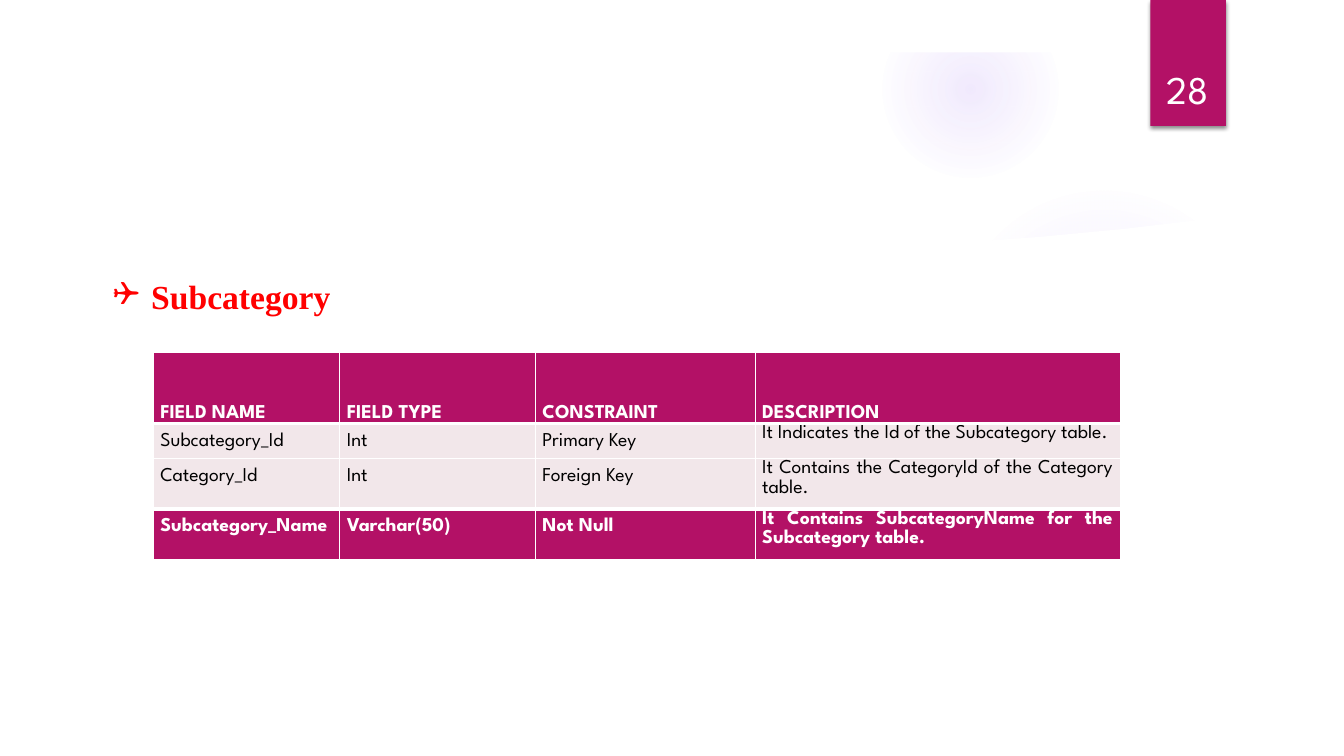
from lxml import etree
from pptx import Presentation
from pptx.dml.color import RGBColor
from pptx.enum.shapes import MSO_SHAPE
from pptx.enum.text import MSO_ANCHOR, MSO_AUTO_SIZE, PP_ALIGN
from pptx.oxml import parse_xml
from pptx.oxml.ns import qn
from pptx.util import Inches, Pt

RECT, OVAL = MSO_SHAPE.RECTANGLE, MSO_SHAPE.OVAL
BOTTOM, TOP = MSO_ANCHOR.BOTTOM, MSO_ANCHOR.TOP
LEFT, CENTER, JUSTIFY = PP_ALIGN.LEFT, PP_ALIGN.CENTER, PP_ALIGN.JUSTIFY
MAGENTA = RGBColor(0xB3, 0x11, 0x66)
BLUSH = RGBColor(0xF2, 0xE7, 0xEA)
RED = RGBColor(0xFF, 0, 0)
WHITE = RGBColor(0xFF, 0xFF, 0xFF)
BLACK = RGBColor(0, 0, 0)
VIOLET = RGBColor(0x9B, 0x6B, 0xF2)
FONT, TITLE_FONT = "League Spartan", "Times New Roman"
NS = 'xmlns:a="http://schemas.openxmlformats.org/drawingml/2006/main"'

TITLE, PAGE = "Subcategory", "28"
ROWS = [
    ("FIELD NAME", "FIELD TYPE", "CONSTRAINT", "DESCRIPTION"),
    ("Subcategory_Id", "Int", "Primary Key",
     "It Indicates the Id of the Subcategory table."),
    ("Category_Id", "Int", "Foreign Key",
     "It Contains the CategoryId of the Category table."),
    ("Subcategory_Name", "Varchar(50)", "Not Null",
     "It Contains SubcategoryName for the Subcategory table."),
]
COL_WIDTHS = [1.85, 1.94, 2.18, 3.62]
ROW_HEIGHTS = [0.7, 0.35, 0.5, 0.5]
# left, top, diameter, (position, opacity) stops in percent
GLOWS = [
    (9.41, 1.83, 3.08, [(0, 7), (36, 6), (69, 0)]),
    (8.75, 0.01, 1.75, [(0, 14), (36, 7), (73, 0)]),
]
# upper edge of the white panel, then its lower corners
PANEL = [(0.5, 2.04), (2.16, 2.24), (4.01, 2.38), (6.57, 2.48), (8.4, 2.46),
         (9.49, 2.41), (10.32, 2.35), (11.16, 2.27), (12, 2.17),
         (12.84, 2.04), (12.84, 7), (0.5, 7)]

prs = Presentation()
prs.slide_width, prs.slide_height = Inches(13.33), Inches(7.5)
s = prs.slides.add_slide(prs.slide_layouts[5])


def paint(shape, color):
    shape.shadow.inherit = False
    shape.fill.solid()
    shape.fill.fore_color.rgb = color
    shape.line.fill.background()


def add_box(kind, x, y, w, h, color):
    shape = s.shapes.add_shape(kind, Inches(x), Inches(y), Inches(w), Inches(h))
    paint(shape, color)
    return shape


def style(p, size, color, bold=False, font=FONT):
    for r in p.runs:
        r.font.name, r.font.size, r.font.bold = font, Pt(size), bold
        r.font.color.rgb = color


def set_borders(cell, top, bottom):
    tc_pr = cell._tc.get_or_add_tcPr()
    sides = [("lnL", 1), ("lnR", 1), ("lnT", top), ("lnB", bottom)]
    for i, (side, width) in enumerate(sides):
        tc_pr.insert(i, parse_xml(
            f'<a:{side} {NS} w="{Pt(width)}"><a:solidFill>'
            f'<a:srgbClr val="{WHITE}"/></a:solidFill></a:{side}>'))


# Soft glows, trimmed by the white panel and top margin
for x, y, d, stops in GLOWS:
    glow = add_box(OVAL, x, y, d, d, VIOLET)
    gs = "".join(
        f'<a:gs pos="{pos * 1000}"><a:srgbClr val="{VIOLET}">'
        f'<a:alpha val="{alpha * 1000}"/></a:srgbClr></a:gs>'
        for pos, alpha in stops)
    sp_pr = glow.element.spPr
    sp_pr.replace(sp_pr.find(qn("a:solidFill")), parse_xml(
        f'<a:gradFill {NS}><a:gsLst>{gs}</a:gsLst><a:path path="circle">'
        '<a:fillToRect l="50000" t="50000" r="50000" b="50000"/>'
        '</a:path></a:gradFill>'))

points = [(Inches(x), Inches(y)) for x, y in PANEL]
outline = s.shapes.build_freeform(*points[0])
outline.add_line_segments(points[1:], close=True)
paint(outline.convert_to_shape(), WHITE)
add_box(RECT, 0, 0, 13.33, 0.52, WHITE)

# Page number tab
tab = add_box(RECT, 11.41, 0, 0.75, 1.25, MAGENTA)
shadow = etree.SubElement(tab.element.spPr.find(qn("a:effectLst")),
                          qn("a:outerShdw"), blurRad=str(Pt(3)),
                          dist=str(Pt(2)), dir="5400000", rotWithShape="0")
color = etree.SubElement(shadow, qn("a:srgbClr"), val=str(BLACK))
etree.SubElement(color, qn("a:alpha"), val="45000")

number = s.shapes.add_textbox(Inches(11.32), Inches(0.32), Inches(0.92), Inches(0.84))
tf = number.text_frame
tf.word_wrap, tf.vertical_anchor = True, BOTTOM
p = tf.paragraphs[0]
p.text, p.alignment = PAGE, CENTER
style(p, 28, WHITE)

# Title with a box bullet, brought in front of the panel
title = s.shapes.title
s.shapes.element.append(title.element)
title.left, title.top = Inches(1.02), Inches(2.69)
title.width, title.height = Inches(2.47), Inches(0.5)
tf = title.text_frame
tf.text = TITLE
tf.word_wrap, tf.auto_size, tf.vertical_anchor = False, MSO_AUTO_SIZE.NONE, TOP
p = tf.paragraphs[0]
p.alignment = LEFT
p_pr = p._p.get_or_add_pPr()
p_pr.set("marL", str(Inches(0.38)))
p_pr.set("indent", str(-Inches(0.38)))
etree.SubElement(p_pr, qn("a:buFont"), typeface="Wingdings")
etree.SubElement(p_pr, qn("a:buChar"), char="❑")
style(p, 24, RED, True, TITLE_FONT)

# Field table
table = s.shapes.add_table(
    len(ROWS), len(COL_WIDTHS), Inches(1.52), Inches(3.5),
    Inches(sum(COL_WIDTHS)), Inches(sum(ROW_HEIGHTS))).table
for column, width in zip(table.columns, COL_WIDTHS):
    column.width = Inches(width)
last = len(ROWS) - 1
for i, row in enumerate(ROWS):
    table.rows[i].height = Inches(ROW_HEIGHTS[i])
    strong = i in (0, last)
    for j, text in enumerate(row):
        cell = table.cell(i, j)
        cell.margin_left = cell.margin_right = Inches(0.07)
        cell.margin_top = cell.margin_bottom = 0
        cell.vertical_anchor = BOTTOM if i == 0 else TOP
        cell.fill.solid()
        cell.fill.fore_color.rgb = MAGENTA if strong else BLUSH
        set_borders(cell, 3 if i in (1, last) else 1, 3 if i in (0, last - 1) else 1)
        p = cell.text_frame.paragraphs[0]
        p.text, p.alignment = text, JUSTIFY
        description = i > 0 and j == len(row) - 1
        p.line_spacing = 1.07 if description else 1.5
        if description:
            p.space_after = Pt(8)
        style(p, 14, WHITE if strong else BLACK, strong)

prs.save("out.pptx")
